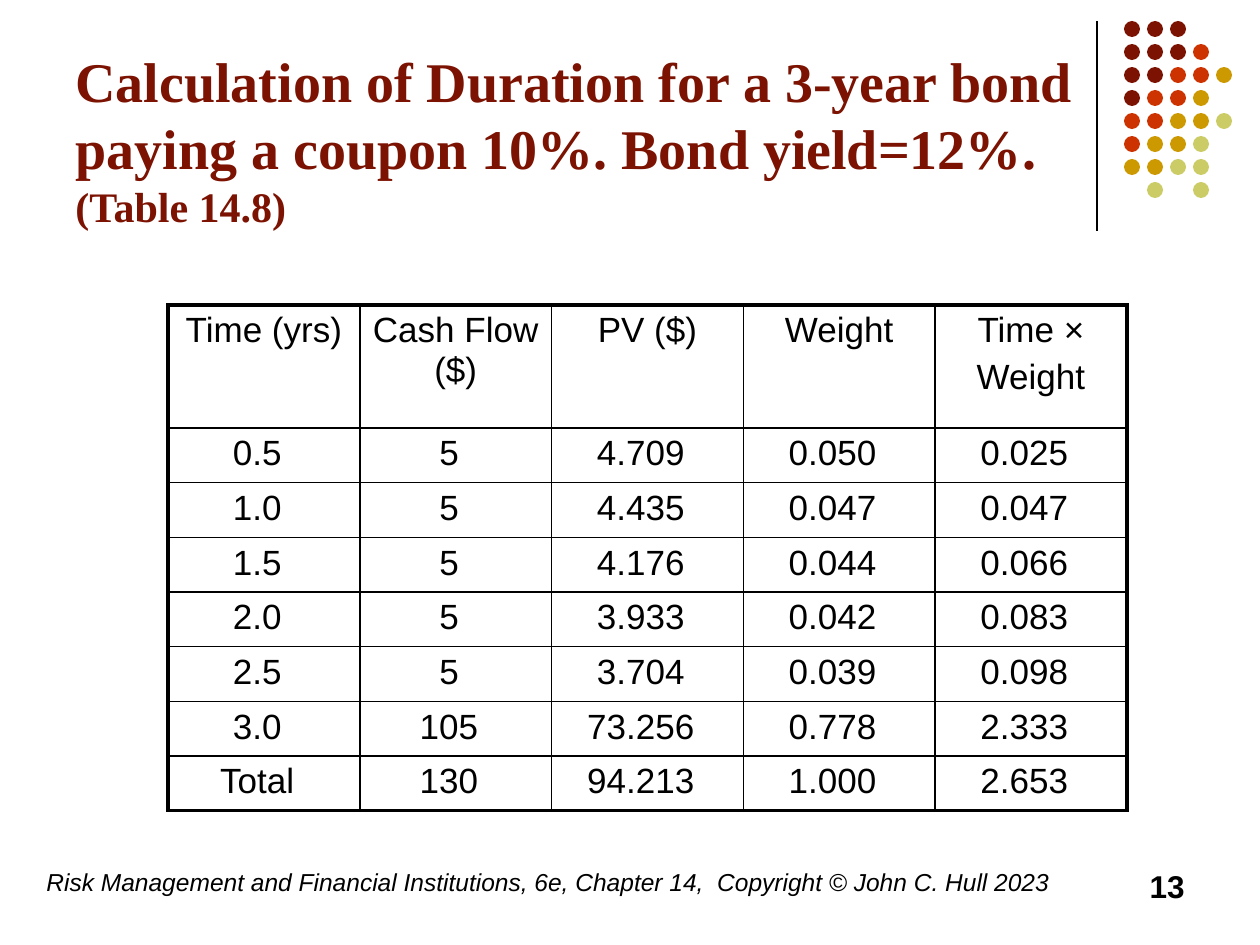
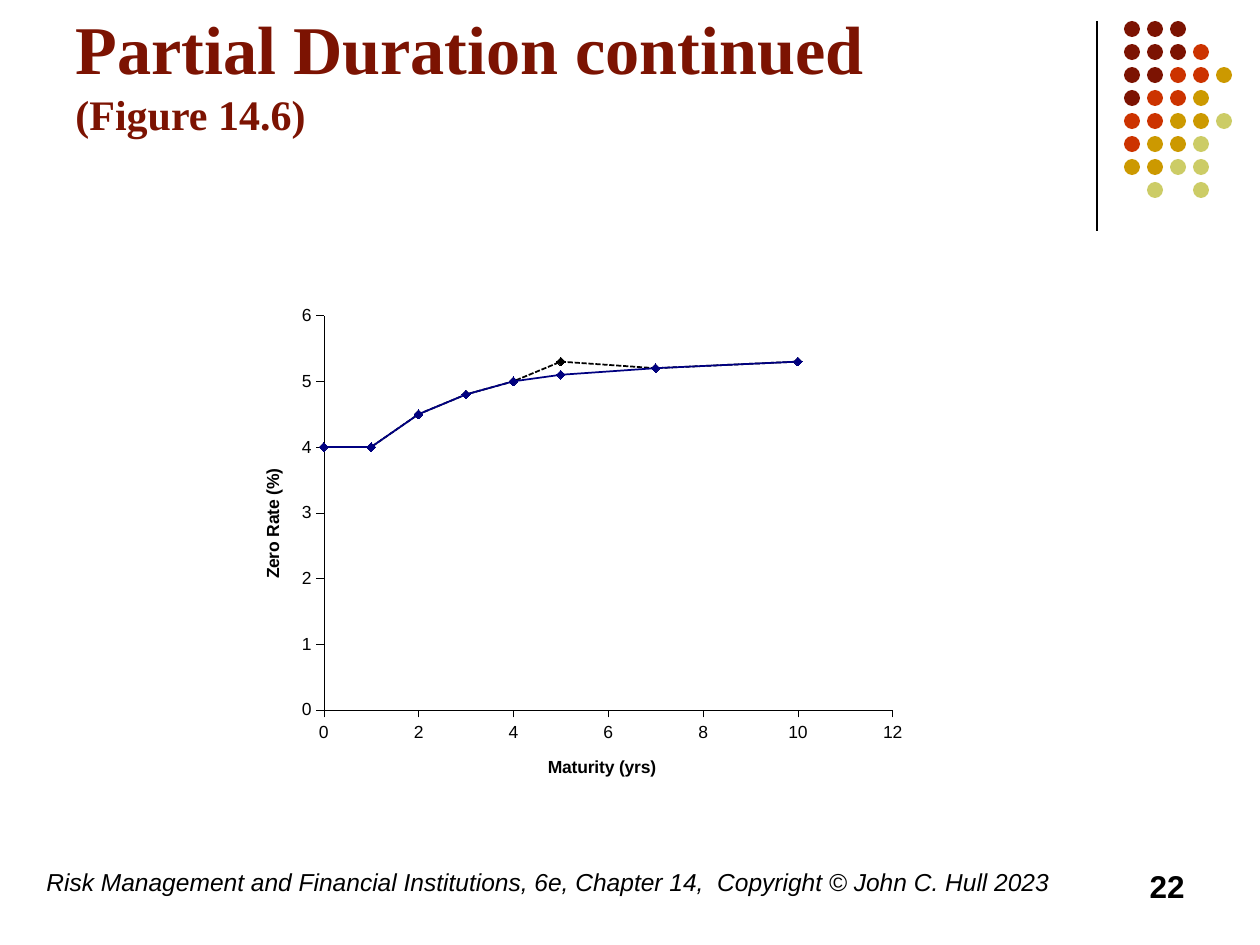
"""Build two bond duration slides: a calculation table and a zero rate chart."""
from lxml.etree import SubElement
from pptx import Presentation
from pptx.chart.data import XyChartData
from pptx.dml.color import RGBColor
from pptx.enum.chart import XL_CHART_TYPE as ChartType, XL_MARKER_STYLE as Marker, XL_TICK_MARK as Tick
from pptx.enum.dml import MSO_LINE as Dash
from pptx.enum.shapes import MSO_CONNECTOR as Connector, MSO_SHAPE as Shape
from pptx.enum.text import MSO_ANCHOR as Anchor, PP_ALIGN as Align
from pptx.oxml import parse_xml
from pptx.oxml.ns import nsdecls, qn
from pptx.util import Emu, Pt

BLACK = RGBColor(0x00, 0x00, 0x00)
MAROON = RGBColor(0x7C, 0x13, 0x02)
RED = RGBColor(0xCC, 0x33, 0x00)
GOLD = RGBColor(0xCC, 0x99, 0x00)
LIME = RGBColor(0xCC, 0xCC, 0x66)
NAVY = RGBColor(0x00, 0x00, 0x80)
SANS, SERIF = "Arial", "Times New Roman"

FOOTER = "Risk Management and Financial Institutions, 6e, Chapter 14,  Copyright © John C. Hull 2023"
DOT_COLOURS = {"M": MAROON, "R": RED, "G": GOLD, "L": LIME}
DOT_ROWS = ["MMM", "MMMR", "MMRRG", "MRRG", "RRGGL", "RGGL", "GGLL", " L L"]

TABLE_TITLE = [
    ("Calculation of Duration for a 3-year bond paying a coupon 10%. Bond yield=12%. ", 32),
    ("(Table 14.8)", 24),
]
DURATION_ROWS = [
    ("Time (yrs)", "Cash Flow ($)", "PV ($)", "Weight", "Time ×\nWeight"),
    ("0.5", "5", "4.709", "0.050", "0.025"),
    ("1.0", "5", "4.435", "0.047", "0.047"),
    ("1.5", "5", "4.176", "0.044", "0.066"),
    ("2.0", "5", "3.933", "0.042", "0.083"),
    ("2.5", "5", "3.704", "0.039", "0.098"),
    ("3.0", "105", "73.256", "0.778", "2.333"),
    ("Total", "130", "94.213", "1.000", "2.653"),
]
TABLE_BOX = (168, 305, 959, 505)
HEADER_HEIGHT = 123

CHART_TITLE = [("Partial Duration continued\n", 39), ("(Figure 14.6)", 24)]
MATURITIES = [0, 1, 2, 3, 4, 5, 7, 10]
ZERO_CURVES = [
    ("Series 1", [4, 4, 4.5, 4.8, 5, 5.1, 5.2, 5.3], NAVY, Dash.SOLID),
    ("Series 2", [4, 4, 4.5, 4.8, 5, 5.3, 5.2, 5.3], BLACK, Dash.SQUARE_DOT),
]
CHART_BOX = (236, 295, 675, 519)
PLOT_LAYOUT = {"x": 0.13, "y": 0.04, "w": 0.843, "h": 0.76}


def px(value):
    return Emu(round(value * 914400 / 126))


def place(*lengths):
    return [px(v) for v in lengths]


def style(font, size=None, name=SANS, colour=BLACK, bold=None, italic=None):
    font.name, font.bold, font.italic = name, bold, italic
    font.color.rgb = colour
    if size:
        font.size = Pt(size)


def add_text(s, box, text, align=Align.LEFT, **look):
    tf = s.shapes.add_textbox(*place(*box)).text_frame
    tf.word_wrap = True
    p = tf.paragraphs[0]
    p.text, p.alignment = text, align
    style(p.font, **look)


def add_title(s, runs, top, bottom_inset):
    tf = s.shapes.add_textbox(*place(63, top, 1040, 178)).text_frame
    tf.word_wrap, tf.vertical_anchor = True, Anchor.BOTTOM
    tf.margin_top, tf.margin_bottom = 0, px(bottom_inset)
    p = tf.paragraphs[0]
    style(p.font, name=SERIF, colour=MAROON, bold=True)
    for text, size in runs:
        r = p.add_run()
        r.text = text.rstrip("\n")
        r.font.size = Pt(size)
        if text.endswith("\n"):
            p.add_line_break()


def add_decoration(s):
    rule = s.shapes.add_connector(Connector.STRAIGHT, *place(1097, 21, 1097, 231))
    rule.line.color.rgb, rule.line.width = BLACK, Pt(0.75)
    SubElement(rule._element.spPr, qn("a:effectLst"))
    dots = s.shapes.add_group_shape().shapes
    for i, row in enumerate(DOT_ROWS):
        for j, key in enumerate(row):
            if key in DOT_COLOURS:
                dot = dots.add_shape(Shape.OVAL, *place(1124 + 23 * j, 21 + 23 * i, 16, 16))
                dot.shadow.inherit = False
                dot.fill.solid()
                dot.fill.fore_color.rgb = DOT_COLOURS[key]
                dot.line.fill.background()


def new_slide(prs, number, title, top, bottom_inset=6):
    s = prs.slides.add_slide(prs.slide_layouts[6])
    add_decoration(s)
    add_title(s, title, top, bottom_inset)
    add_text(s, (34, 861, 1042, 63), FOOTER, size=14, italic=True)
    add_text(s, (903, 861, 294, 63), str(number), Align.RIGHT, size=18, bold=True)
    return s


def set_borders(cell, outer_sides):
    tcPr = cell._tc.get_or_add_tcPr()
    for side, outer in outer_sides.items():
        ln = SubElement(tcPr, qn(f"a:ln{side}"), w=str(Pt(2.25 if outer else 1)))
        fill = SubElement(ln, qn("a:solidFill"))
        SubElement(fill, qn("a:srgbClr"), val=str(BLACK))


def add_duration_table(s):
    n_rows, n_cols = len(DURATION_ROWS), len(DURATION_ROWS[0])
    table = s.shapes.add_table(n_rows, n_cols, *place(*TABLE_BOX)).table
    table.first_row = table.horz_banding = False
    for col in table.columns:
        col.width = px(TABLE_BOX[2] / n_cols)
    body_height = (TABLE_BOX[3] - HEADER_HEIGHT) / (n_rows - 1)
    for i, texts in enumerate(DURATION_ROWS):
        table.rows[i].height = px(body_height if i else HEADER_HEIGHT)
        for j, text in enumerate(texts):
            cell = table.cell(i, j)
            cell.text = text
            if i:
                cell.margin_right = px(26)
            for k, p in enumerate(cell.text_frame.paragraphs):
                p.alignment = Align.CENTER
                if k:
                    p.space_before = Pt(4)
                style(p.font, 20)
            set_borders(cell, {"L": j == 0, "R": j == n_cols - 1, "T": i == 0, "B": i == n_rows - 1})
            cell.fill.background()


def format_axis(axis, title, maximum, unit):
    axis.minimum_scale, axis.maximum_scale, axis.major_unit = 0, maximum, unit
    axis.has_major_gridlines = False
    axis.major_tick_mark, axis.minor_tick_mark = Tick.OUTSIDE, Tick.NONE
    axis.format.line.color.rgb, axis.format.line.width = BLACK, Pt(0.25)
    style(axis.tick_labels.font, 10)
    tf = axis.axis_title.text_frame
    tf.text = title
    style(tf.paragraphs[0].font, 10, bold=True)


def set_plot_layout(chart):
    plot_area = chart._chartSpace.chart.plotArea
    for old in plot_area.findall(qn("c:layout")):
        plot_area.remove(old)
    sizes = "".join(f'<c:{k} val="{v}"/>' for k, v in PLOT_LAYOUT.items())
    plot_area.insert(0, parse_xml(
        f'<c:layout {nsdecls("c")}><c:manualLayout><c:layoutTarget val="inner"/>'
        f'<c:xMode val="edge"/><c:yMode val="edge"/>{sizes}</c:manualLayout></c:layout>'))


def add_zero_chart(s):
    data = XyChartData()
    for name, rates, *_ in ZERO_CURVES:
        series = data.add_series(name)
        for point in zip(MATURITIES, rates):
            series.add_data_point(*point)
    chart = s.shapes.add_chart(ChartType.XY_SCATTER_LINES, *place(*CHART_BOX), data).chart
    chart.has_title = chart.has_legend = False
    style(chart.font, 10)
    chart.plots[0].vary_by_categories = False
    for series, (_, _, colour, dash) in zip(chart.plots[0].series, ZERO_CURVES):
        series.smooth = False
        line, marker = series.format.line, series.marker
        line.color.rgb, line.width, line.dash_style = colour, Pt(1), dash
        marker.style, marker.size = Marker.DIAMOND, 5
        marker.format.fill.solid()
        marker.format.fill.fore_color.rgb = colour
        marker.format.line.color.rgb = colour
    format_axis(chart.category_axis, "Maturity (yrs)", 12, 2)
    format_axis(chart.value_axis, "Zero Rate (%)", 6, 1)
    set_plot_layout(chart)


def main():
    prs = Presentation()
    prs.slide_width, prs.slide_height = place(1260, 945)
    add_duration_table(new_slide(prs, 13, TABLE_TITLE, 59))
    add_zero_chart(new_slide(prs, 22, CHART_TITLE, 16, bottom_inset=55))
    prs.save("out.pptx")


if __name__ == "__main__":
    main()
